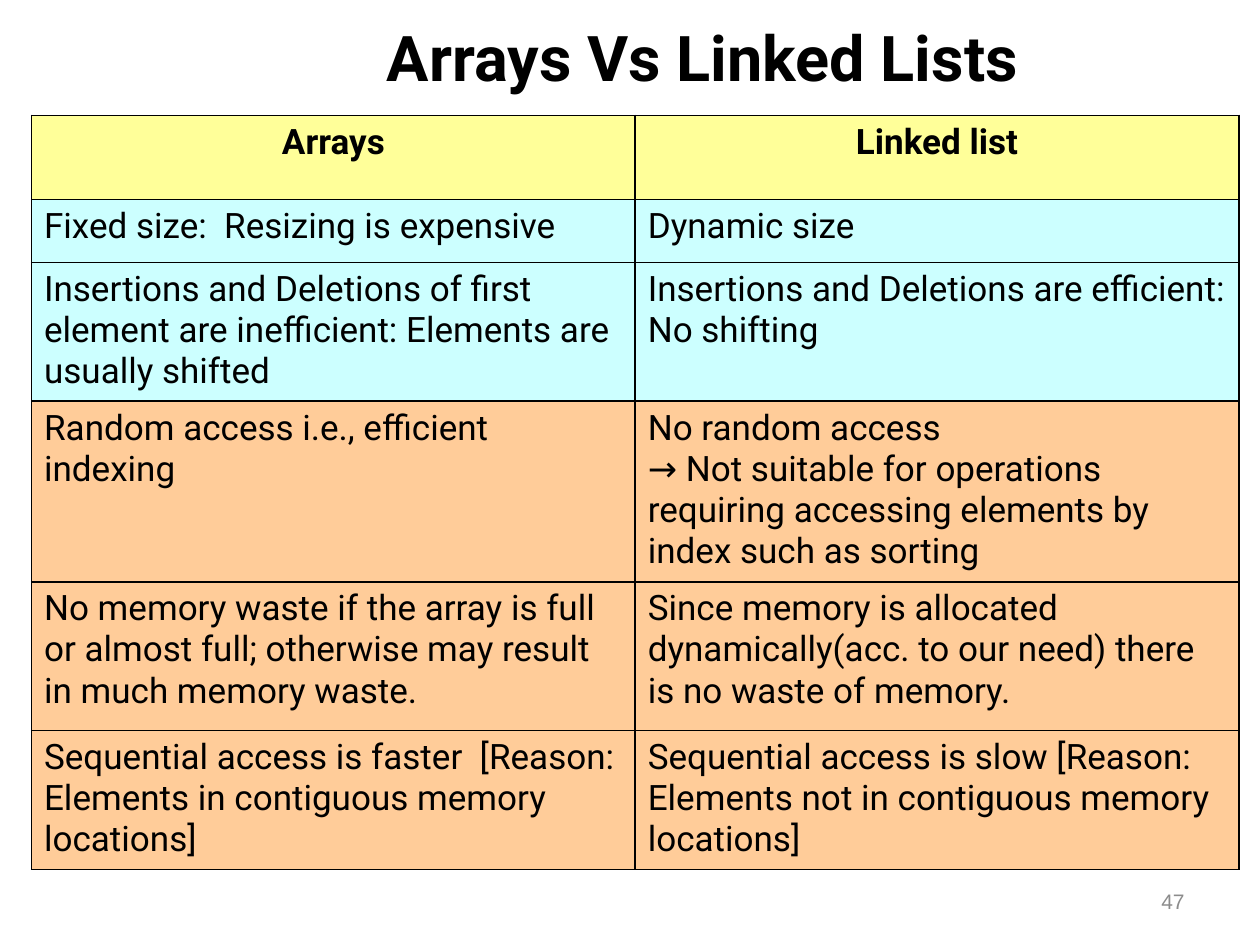
from lxml import etree
from pptx import Presentation
from pptx.dml.color import RGBColor
from pptx.enum.text import MSO_ANCHOR, PP_ALIGN
from pptx.oxml.ns import qn
from pptx.util import Pt

BLACK = RGBColor(0x00, 0x00, 0x00)
GRAY = RGBColor(0x8C, 0x8C, 0x8C)
YELLOW = RGBColor(0xFF, 0xFF, 0x99)
CYAN = RGBColor(0xCC, 0xFF, 0xFF)
ORANGE = RGBColor(0xFF, 0xCC, 0x99)

# Row height, fill, arrays cell, linked list cell
ROWS = [
    (48, YELLOW, "Arrays", "Linked list"),
    (36, CYAN, "Fixed size:  Resizing is expensive", "Dynamic size"),
    (70.5, CYAN,
     "Insertions and Deletions of first element are inefficient: "
     "Elements are usually shifted",
     "Insertions and Deletions are efficient: No shifting"),
    (98.5, ORANGE, "Random access i.e., efficient indexing",
     "No random access\n→ Not suitable for operations requiring "
     "accessing elements by index such as sorting"),
    (85, ORANGE,
     "No memory waste if the array is full or almost full; "
     "otherwise may result in much memory waste.",
     "Since memory is allocated dynamically(acc. to our need) "
     "there is no waste of memory."),
    (70.5, ORANGE,
     "Sequential access is faster  [Reason: Elements in contiguous "
     "memory locations]",
     "Sequential access is slow [Reason: Elements not in contiguous "
     "memory locations]"),
]


def write(frame, text, size, font="Roboto", color=BLACK, bold=False,
          align=PP_ALIGN.LEFT):
    for i, line in enumerate(text.split("\n")):
        para = frame.add_paragraph() if i else frame.paragraphs[0]
        para.alignment = align
        run = para.add_run()
        run.text = line
        run.font.size = Pt(size)
        run.font.name = font
        run.font.bold = bold
        run.font.color.rgb = color


def border(cell):
    props = cell._tc.get_or_add_tcPr()
    for i, side in enumerate(("a:lnL", "a:lnR", "a:lnT", "a:lnB")):
        line = etree.Element(qn(side), w=str(Pt(1)))
        fill = etree.SubElement(line, qn("a:solidFill"))
        etree.SubElement(fill, qn("a:srgbClr"), val=str(BLACK))
        props.insert(i, line)


deck = Presentation()
deck.slide_width, deck.slide_height = Pt(720), Pt(540)
slide = deck.slides.add_slide(deck.slide_layouts[6])
shapes = slide.shapes

# Title, set right of centre by its left inset
title = shapes.add_textbox(Pt(24), Pt(6), Pt(648), Pt(52.5)).text_frame
title.word_wrap = True
title.vertical_anchor = MSO_ANCHOR.MIDDLE
title.margin_left = Pt(114)
write(title, "Arrays Vs Linked Lists", 36, bold=True, align=PP_ALIGN.CENTER)

# Comparison table
total = sum(row[0] for row in ROWS)
table = shapes.add_table(len(ROWS), 2, Pt(18), Pt(66), Pt(690), Pt(total)).table
for r, (height, fill, *texts) in enumerate(ROWS):
    table.rows[r].height = Pt(height)
    head = r == 0
    for c, text in enumerate(texts):
        cell = table.cell(r, c)
        cell.fill.solid()
        cell.fill.fore_color.rgb = fill
        border(cell)
        write(cell.text_frame, text, 20, bold=head,
              align=PP_ALIGN.CENTER if head else PP_ALIGN.LEFT)

# Page number
page = shapes.add_textbox(Pt(516), Pt(500.5), Pt(168), Pt(28.5)).text_frame
page.word_wrap = True
page.vertical_anchor = MSO_ANCHOR.MIDDLE
write(page, "47", 12, "Arial", GRAY, align=PP_ALIGN.RIGHT)

deck.save("out.pptx")
